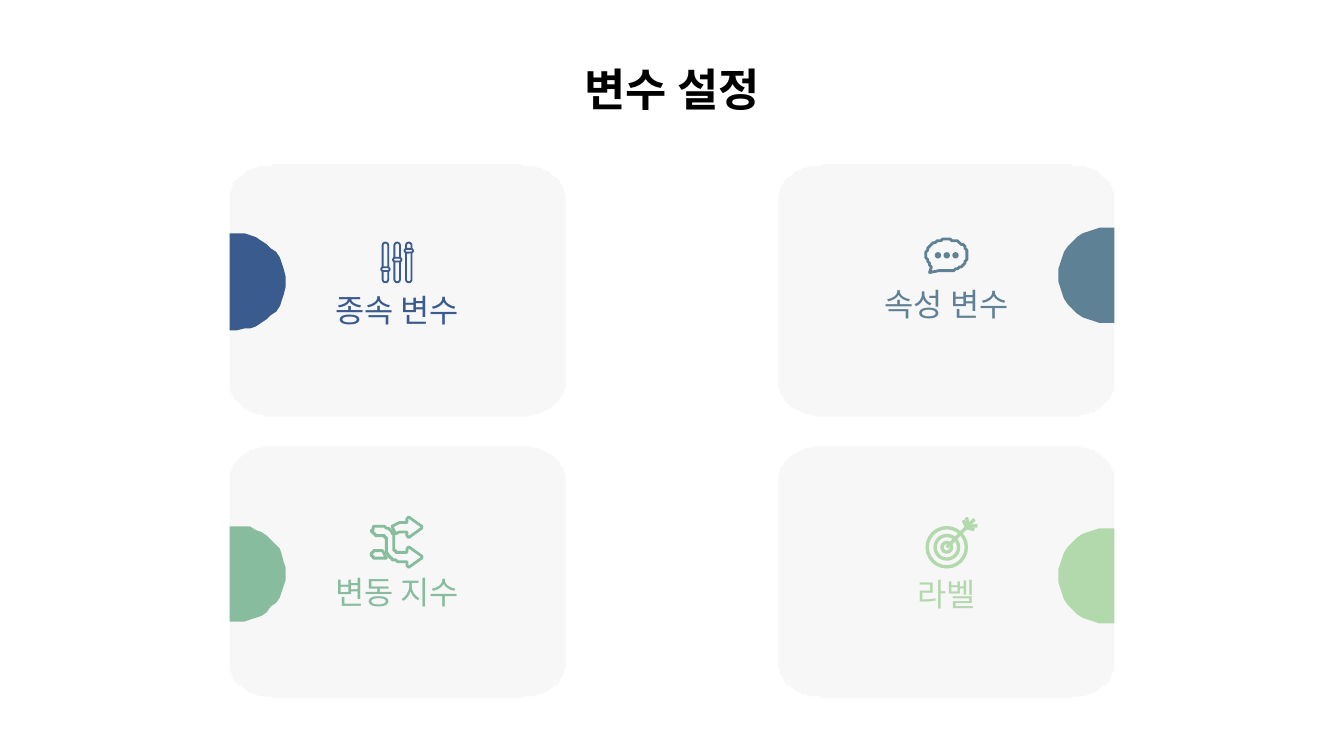
"""Builds the variable settings slide: four cards, each with a side tab, an icon and a label."""
import math

from lxml import etree
from pptx import Presentation
from pptx import util as u
from pptx.dml.color import RGBColor
from pptx.enum import shapes, text
from pptx.oxml.ns import qn

TITLE = "변수 설정"
FONT = "Lato"
CARD_FILL = "F7F7F7"
CARD_WIDTH, CARD_HEIGHT = 180, 134.5
COLUMN_CENTERS = (212.8, 507.2)
ROW_TOPS = (88.5, 239)
TAB_WIDTH, TAB_HEIGHT = 30.2, 51.4
LABEL_WIDTH, LABEL_HEIGHT = 151.2, 33.8

CARDS = [
    {"label": "종속 변수", "color": "395B8E", "row": 0, "column": 0,
     "tab_top": 125.2, "label_top": 149.2, "icon": "sliders"},
    {"label": "속성 변수", "color": "5F8195", "row": 0, "column": 1,
     "tab_top": 121.8, "label_top": 146, "icon": "bubble"},
    {"label": "변동 지수", "color": "87BC9E", "row": 1, "column": 0,
     "tab_top": 281.6, "label_top": 300, "icon": "shuffle"},
    {"label": "라벨", "color": "B2D9AB", "row": 1, "column": 1,
     "tab_top": 282.8, "label_top": 301.2, "icon": "target"},
]

SLIDER_KNOBS = [(206.5, 144.2), (212.8, 139.1), (219, 134.3)]
RING_RADII = (10.5, 6.3, 2.6)
DART_LINES = [((0, 0), (14.8, -15)), ((10.6, -10.4), (14.8, -9.5)),
              ((11.8, -11.3), (16.4, -11.5)), ((10.6, -11), (8.8, -14.5)),
              ((11.8, -12), (10.5, -16))]
ARROW_HEAD = [(18.7, 23.4), (18.7, 26), (19.5, 26.6), (26.2, 21.5),
              (26.2, 20.9), (19.5, 15.8), (18.7, 16.4), (18.7, 19)]


def rgb(value):
    return RGBColor.from_string(value)


def arc(x, y, rx, ry, start, end, steps=24):
    angles = [math.radians(start + (end - start) * i / steps) for i in range(steps + 1)]
    return [(x + rx * math.cos(a), y + ry * math.sin(a)) for a in angles]


def paint(shape, fill=None, line=None, weight=1.5):
    shape.shadow.inherit = False
    if fill:
        shape.fill.solid()
        shape.fill.fore_color.rgb = rgb(fill)
    else:
        shape.fill.background()
    if line:
        shape.line.color.rgb = rgb(line)
        shape.line.width = u.Pt(weight)
    else:
        shape.line.fill.background()
    return shape


def outline(page, points, left=0, top=0, **style):
    moved = [(left + x, top + y) for x, y in points]
    builder = page.shapes.build_freeform(*moved[0], scale=u.Pt(1))
    builder.add_line_segments(moved[1:], close=True)
    return paint(builder.convert_to_shape(), **style)


def centered(page, kind, x, y, width, height, **style):
    shape = page.shapes.add_shape(kind, u.Pt(x - width / 2), u.Pt(y - height / 2),
                                  u.Pt(width), u.Pt(height))
    return paint(shape, **style)


def write(shape, words, size, color, bold=False):
    frame = shape.text_frame
    frame.word_wrap = True
    frame.auto_size = text.MSO_AUTO_SIZE.NONE
    frame.vertical_anchor = text.MSO_ANCHOR.MIDDLE
    frame.margin_left = frame.margin_right = u.Pt(7.2)
    frame.margin_top = frame.margin_bottom = u.Pt(7.2)
    para = frame.paragraphs[0]
    para.alignment = text.PP_ALIGN.CENTER
    span = para.add_run()
    span.text = words
    span.font.name, span.font.size, span.font.bold = FONT, u.Pt(size), bold
    span.font.color.rgb = rgb(color)


def sliders(page, color):
    kind = shapes.MSO_SHAPE.ROUNDED_RECTANGLE
    for x, knob_y in SLIDER_KNOBS:
        for y, width, height in ((140.6, 3, 21.3), (knob_y, 4.5, 2)):
            part = centered(page, kind, x, y, width, height,
                            fill=CARD_FILL, line=color, weight=1)
            part.adjustments[0] = 0.5


def bubble(page, color):
    x, y = COLUMN_CENTERS[1], 136.8
    tail = [(-9, 9.4), (-8.3, 6.5)]
    outline(page, arc(0, 0, 11.1, 8.6, 142, 471, 48) + tail, x, y, line=color)
    for shift in (-4.7, 0, 4.7):
        centered(page, shapes.MSO_SHAPE.OVAL, x + shift, y, 3.4, 3.4, fill=color)


def shuffle(page, color):
    crossing = (arc(2.2, 7.2, 2.2, 2.2, 270, 90) + arc(5, 11.9, 2.5, 2.5, -90, 0)
                + arc(14.4, 16.5, 6.9, 6.9, 180, 90) + ARROW_HEAD
                + arc(14.4, 16.5, 2.5, 2.5, 90, 180) + arc(5, 11.9, 6.9, 6.9, 0, -90))
    stub = arc(2.2, 19.8, 2.4, 2.4, 270, 90) + [(5, 22.2), (7.9, 21.6), (5.8, 17.4)]
    upper = ([(14.4, 3.2), (12.5, 3.6), (10.1, 5), (11.8, 6.6), (13, 8.6), (14.4, 7.6)]
             + [(x, y - 15.8) for x, y in ARROW_HEAD])
    for points in (crossing, stub, upper):
        outline(page, points, 199.4, 277.2, line=color)


def target(page, color):
    x, y = COLUMN_CENTERS[1], 293.2
    for radius in RING_RADII:
        centered(page, shapes.MSO_SHAPE.OVAL, x, y, 2 * radius, 2 * radius,
                 line=color, weight=1.8)
    for (x1, y1), (x2, y2) in DART_LINES:
        stroke = page.shapes.add_connector(
            shapes.MSO_CONNECTOR.STRAIGHT,
            u.Pt(x + x1), u.Pt(y + y1), u.Pt(x + x2), u.Pt(y + y2))
        stroke.line.color.rgb = rgb(color)
        stroke.line.width = u.Pt(1.8)
        etree.SubElement(stroke._element.spPr, qn("a:effectLst"))


ICONS = {"sliders": sliders, "bubble": bubble, "shuffle": shuffle, "target": target}


def add_card(page, card):
    center, top = COLUMN_CENTERS[card["column"]], ROW_TOPS[card["row"]]
    rx, ry = 23.4, 17.8
    corners = [(CARD_WIDTH - rx, CARD_HEIGHT - ry), (rx, CARD_HEIGHT - ry),
               (rx, ry), (CARD_WIDTH - rx, ry)]
    body = [point for i, (x, y) in enumerate(corners)
            for point in arc(x, y, rx, ry, 90 * i, 90 * i + 90)]
    outline(page, body, center - CARD_WIDTH / 2, top, fill=CARD_FILL)

    side = 1 if card["column"] == 0 else -1
    radius = TAB_HEIGHT / 2
    curve = arc(TAB_WIDTH - radius, radius, radius, radius, -90, 90)
    tab = [(side * x, y) for x, y in [(0, 0)] + curve + [(0, TAB_HEIGHT)]]
    outline(page, tab, center - side * CARD_WIDTH / 2, card["tab_top"], fill=card["color"])

    ICONS[card["icon"]](page, card["color"])
    box = page.shapes.add_textbox(u.Pt(center - LABEL_WIDTH / 2), u.Pt(card["label_top"]),
                                  u.Pt(LABEL_WIDTH), u.Pt(LABEL_HEIGHT))
    write(box, card["label"], 17, card["color"])


def main():
    deck = Presentation()
    deck.slide_width, deck.slide_height = u.Pt(720), u.Pt(405)
    page = deck.slides.add_slide(deck.slide_layouts[5])
    title = page.shapes.title
    title.left, title.top, title.width, title.height = u.Pt(0), u.Pt(24.5), u.Pt(720), u.Pt(45.4)
    write(title, TITLE, 24, "000000", bold=True)
    for card in CARDS:
        add_card(page, card)
    deck.save("out.pptx")


if __name__ == "__main__":
    main()
